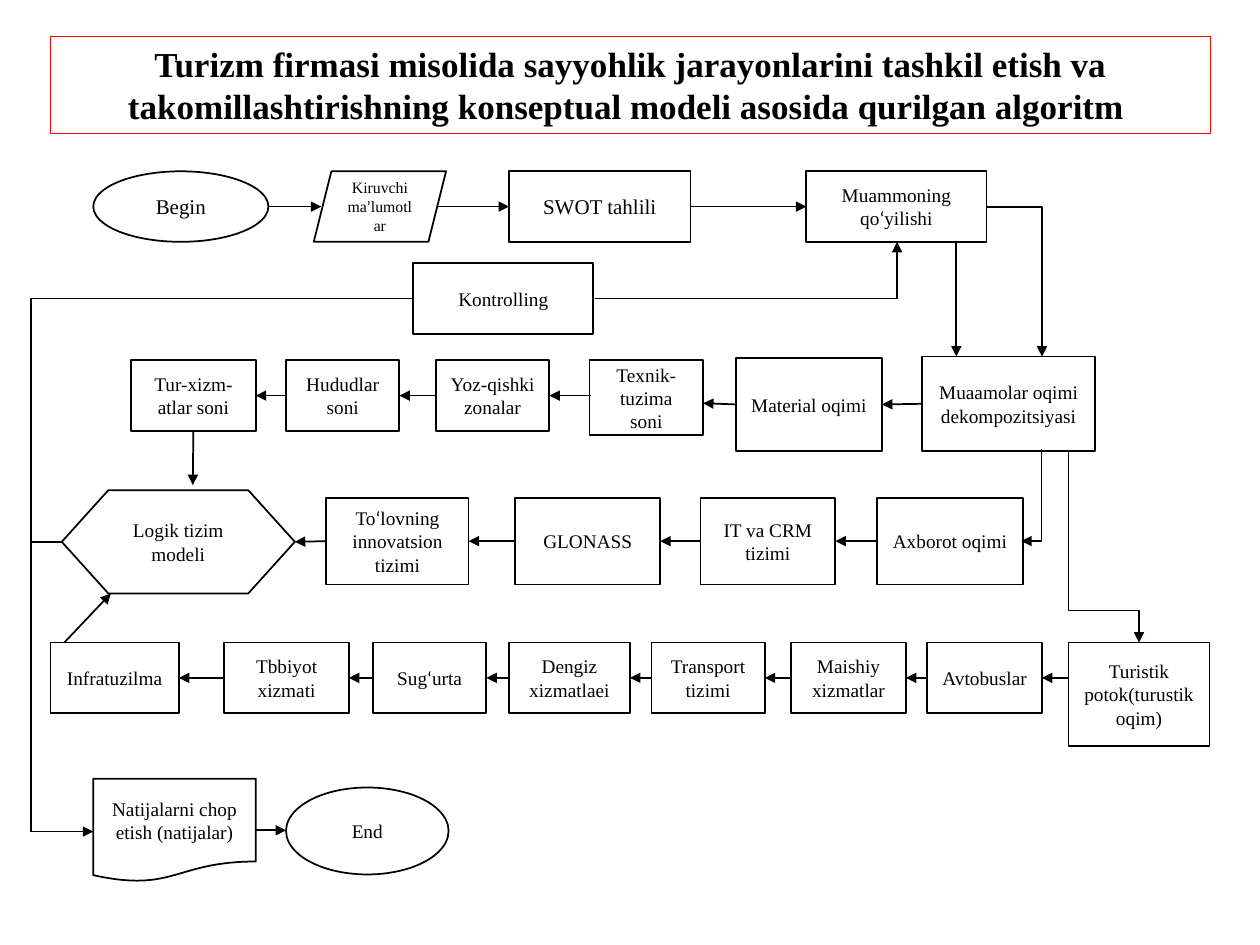
from dataclasses import dataclass
from itertools import groupby
from typing import Optional

import pptx
import pptx.dml.color
import pptx.enum.shapes
import pptx.enum.text
import pptx.oxml
import pptx.oxml.ns
import pptx.util

Inches = pptx.util.Inches
Pt = pptx.util.Pt
Preset = pptx.enum.shapes.MSO_SHAPE
Connector = pptx.enum.shapes.MSO_CONNECTOR
qn = pptx.oxml.ns.qn

COLORS = {"ink": "000000", "paper": "FFFFFF", "frame": "FF0000"}
SERIF, QUOTE_FONT = "Times New Roman", "Calibri"
LEFT, RIGHT = 1, 3  # connection sites of a rectangle


@dataclass
class Node:
    key: str
    text: str
    left: float
    top: float
    width: float
    height: float = 0.56
    preset: Preset = Preset.RECTANGLE
    size: int = 11


@dataclass
class Arrow:
    start: tuple
    end: tuple
    source: Optional[tuple] = None  # node key, connection site
    target: Optional[tuple] = None


@dataclass
class Elbow:
    left: float
    top: float
    width: float
    height: float
    bends: int
    rotation: int = 0
    flips: str = ""
    adjust: Optional[float] = None
    head: bool = True


NODES = [
    # Input row
    Node("begin", "Begin", 0.74, 1.36, 1.39, preset=Preset.OVAL, size=12),
    Node("input", "Kiruvchi ma’lumotlar", 2.49, 1.36, 1.05, preset=Preset.PARALLELOGRAM, size=9),
    Node("swot", "SWOT tahlili", 4.04, 1.36, 1.44, size=12),
    Node("problem", "Muammoning qo‘yilishi", 6.4, 1.36, 1.43),
    Node("control", "Kontrolling", 3.28, 2.09, 1.43),
    # Material flow
    Node("services", "Tur-xizm-atlar soni", 1.04, 2.86, 0.99),
    Node("regions", "Hududlar soni", 2.27, 2.86, 0.9),
    Node("zones", "Yoz-qishki zonalar", 3.46, 2.86, 0.9),
    Node("technical", "Texnik-tuzima soni", 4.68, 2.86, 0.9, 0.59),
    Node("material", "Material oqimi", 5.84, 2.84, 1.16, 0.74),
    Node("split", "Muaamolar oqimi dekompozitsiyasi", 7.32, 2.83, 1.37, 0.75),
    # Information flow
    Node("logic", "Logik tizim modeli", 0.49, 3.89, 1.85, 0.82, Preset.FLOWCHART_PREPARATION),
    Node("payment", "To‘lovning innovatsion tizimi", 2.59, 3.95, 1.13, 0.69),
    Node("glonass", "GLONASS", 4.09, 3.95, 1.15, 0.69),
    Node("crm", "IT va CRM tizimi", 5.56, 3.95, 1.07, 0.69),
    Node("information", "Axborot oqimi", 6.96, 3.95, 1.16, 0.69),
    # Tourist flow
    Node("infrastructure", "Infratuzilma", 0.4, 5.1, 1.02),
    Node("medical", "Tbbiyot xizmati", 1.78, 5.1, 0.99),
    Node("insurance", "Sug‘urta", 2.96, 5.1, 0.9),
    Node("sea", "Dengiz xizmatlaei", 4.04, 5.1, 0.96),
    Node("transport", "Transport tizimi", 5.17, 5.1, 0.9),
    Node("household", "Maishiy xizmatlar", 6.28, 5.1, 0.91),
    Node("buses", "Avtobuslar", 7.36, 5.1, 0.91),
    Node("tourists", "Turistik potok(turustik oqim)", 8.48, 5.1, 1.12, 0.82),
    # Output row
    Node("print", "Natijalarni chop etish (natijalar)", 0.74, 6.18, 1.29, 0.82, Preset.FLOWCHART_DOCUMENT),
    Node("end", "End", 2.27, 6.25, 1.29, 0.69, Preset.OVAL),
]

# Runs of boxes joined from the left side of one to the right side of the next
CHAINS = [
    ["split", "material"],
    ["zones", "regions", "services"],
    ["information", "crm", "glonass", "payment"],
    ["buses", "household", "transport", "sea", "insurance", "medical", "infrastructure"],
]

ARROWS = [
    Arrow((2.13, 1.64), (2.55, 1.64)),
    Arrow((3.48, 1.64), (4.04, 1.64), target=("swot", LEFT)),
    Arrow((5.48, 1.64), (6.4, 1.64), ("swot", RIGHT), ("problem", LEFT)),
    Arrow((7.59, 1.92), (7.59, 2.83)),
    Arrow((5.84, 3.21), (5.58, 3.2), source=("material", LEFT)),
    Arrow((4.69, 3.14), (4.36, 3.14), target=("zones", RIGHT)),
    Arrow((1.54, 3.42), (1.53, 3.85), source=("services", 2)),
    Arrow((0.51, 5.1), (0.88, 4.71)),
    Arrow((8.48, 5.38), (8.27, 5.38), target=("buses", RIGHT)),
    Arrow((2.03, 6.59), (2.27, 6.59)),
    Arrow((2.59, 4.29), (2.34, 4.3), source=("payment", LEFT)),
]

ELBOWS = [
    Elbow(7.83, 1.64, 0.44, 1.19, 2),
    Elbow(0.49, 2.37, 2.79, 1.93, 3, 180, "H", -0.087, head=False),
    Elbow(4.72, 1.92, 2.4, 0.45, 2, 0, "V"),
    Elbow(0.49, 4.3, 0.25, 2.3, 3, 180, "HV", -0.978),
    Elbow(8, 4.06, 1.52, 0.56, 3, 270, "H", 0.833),
    Elbow(7.82, 3.85, 0.73, 0.16, 2, 90),
]


def color(name: str) -> pptx.dml.color.RGBColor:
    return pptx.dml.color.RGBColor.from_string(COLORS[name])


def write(paragraph, text: str, size: int, bold: bool = False) -> None:
    """Add centred text, with curly quotes in their own font."""
    paragraph.alignment = pptx.enum.text.PP_ALIGN.CENTER
    for is_quote, letters in groupby(text, lambda letter: letter in "‘’"):
        run = paragraph.add_run()
        run.text = "".join(letters)
        run.font.name = QUOTE_FONT if is_quote else SERIF
        run.font.size = Pt(size)
        run.font.bold = bold
        run.font.color.rgb = color("ink")


def draw_node(slide, node: Node):
    shape = slide.shapes.add_shape(node.preset, Inches(node.left), Inches(node.top),
                                   Inches(node.width), Inches(node.height))
    shape.shadow.inherit = False
    shape.fill.solid()
    shape.fill.fore_color.rgb = color("paper")
    shape.line.color.rgb = color("ink")
    shape.line.width = Pt(1)
    shape.text_frame.word_wrap = True
    shape.text_frame.vertical_anchor = pptx.enum.text.MSO_ANCHOR.MIDDLE
    write(shape.text_frame.paragraphs[0], node.text, node.size)
    return shape


def style_connector(connector, head: bool = True) -> None:
    connector.line.color.rgb = color("ink")
    connector.line.width = Pt(1)
    properties = connector._element.spPr
    if head:
        line = properties.find(qn("a:ln"))
        line.append(line.makeelement(qn("a:tailEnd"), {"type": "triangle"}))
    properties.append(properties.makeelement(qn("a:effectLst"), {}))


def draw_arrow(slide, arrow: Arrow, shapes: dict) -> None:
    points = [Inches(value) for value in (*arrow.start, *arrow.end)]
    connector = slide.shapes.add_connector(Connector.STRAIGHT, *points)
    if arrow.source:
        connector.begin_connect(shapes[arrow.source[0]], arrow.source[1])
    if arrow.target:
        connector.end_connect(shapes[arrow.target[0]], arrow.target[1])
    style_connector(connector)


def draw_elbow(slide, elbow: Elbow) -> None:
    connector = slide.shapes.add_connector(
        Connector.ELBOW, Inches(elbow.left), Inches(elbow.top),
        Inches(elbow.left + elbow.width), Inches(elbow.top + elbow.height))
    properties = connector._element.spPr
    frame = properties.find(qn("a:xfrm"))
    frame.set("rot", str(elbow.rotation * 60000))
    for axis in elbow.flips:
        frame.set("flip" + axis, "1")
    geometry = properties.find(qn("a:prstGeom"))
    geometry.set("prst", f"bentConnector{elbow.bends}")
    if elbow.adjust is not None:
        guides = geometry.find(qn("a:avLst"))
        guides.append(guides.makeelement(
            qn("a:gd"), {"name": "adj1", "fmla": f"val {round(elbow.adjust * 100000)}"}))
    style_connector(connector, elbow.head)


def draw_title(slide, text: str) -> None:
    box = slide.shapes.add_textbox(Inches(0.4), Inches(0.29), Inches(9.21), Inches(0.77))
    box.line.color.rgb = color("frame")
    box.line.width = Pt(0.75)
    box.text_frame.word_wrap = True
    box.text_frame.auto_size = pptx.enum.text.MSO_AUTO_SIZE.SHAPE_TO_FIT_TEXT
    write(box.text_frame.paragraphs[0], text, 20, bold=True)


def main() -> None:
    presentation = pptx.Presentation()
    presentation.slide_width, presentation.slide_height = Inches(10), Inches(7.5)
    slide = presentation.slides.add_slide(presentation.slide_layouts[6])
    shapes = {node.key: draw_node(slide, node) for node in NODES}
    for chain in CHAINS:
        for source, target in zip(chain, chain[1:]):
            draw_arrow(slide, Arrow((0, 0), (0, 0), (source, LEFT), (target, RIGHT)), shapes)
    for arrow in ARROWS:
        draw_arrow(slide, arrow, shapes)
    for elbow in ELBOWS:
        draw_elbow(slide, elbow)
    draw_title(slide, "Turizm firmasi misolida sayyohlik jarayonlarini tashkil etish va "
                      "takomillashtirishning konseptual modeli asosida qurilgan algoritm ")
    presentation.save("out.pptx")


if __name__ == "__main__":
    main()
